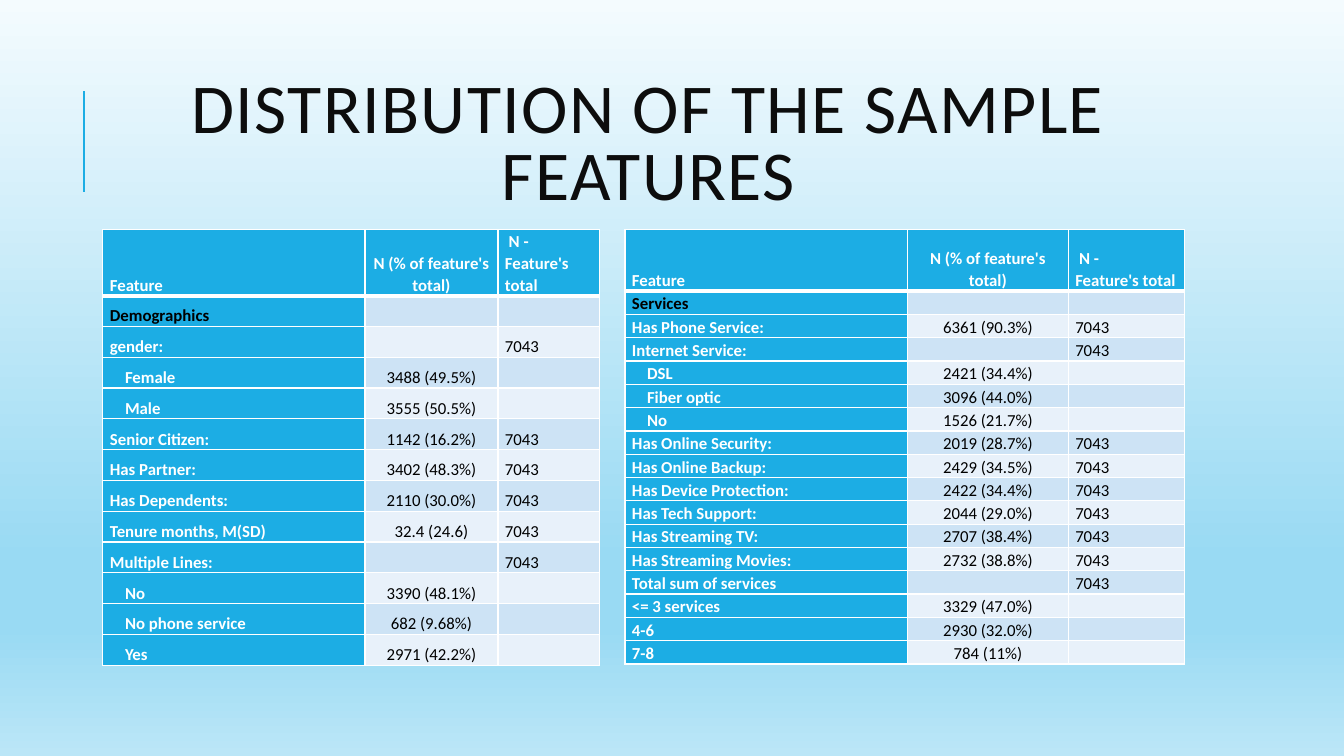
"""Build the slide showing how the sample features are distributed."""
from pptx import Presentation
from pptx.dml.color import RGBColor
from pptx.enum.shapes import MSO_CONNECTOR
from pptx.enum.text import MSO_ANCHOR, MSO_AUTO_SIZE, PP_ALIGN
from pptx.oxml import parse_xml
from pptx.oxml.ns import nsdecls
from pptx.util import Pt

LINE = MSO_CONNECTOR.STRAIGHT
MIDDLE, BOTTOM = MSO_ANCHOR.MIDDLE, MSO_ANCHOR.BOTTOM
LEFT, CENTER = PP_ALIGN.LEFT, PP_ALIGN.CENTER
FIXED = MSO_AUTO_SIZE.NONE
FONT = "Calibri"
HEX = {
    "blue": "1CADE4", "dark": "CDE3F5", "pale": "E8F1FA",
    "white": "FFFFFF", "black": "000000", "title": "0D0D0D",
}
SKY = [(0, "F4FBFE"), (74, "99DAF3"), (83, "99DAF3"), (100, "BBE6F7")]
HEAD = ("Feature", "N (% of feature's total)", " N -\nFeature's total")
SUBS = {"Female", "Male", "No", "No phone service", "Yes", "DSL", "Fiber optic"}

PEOPLE = [
    HEAD,
    ("Demographics", "", ""),
    ("gender:", "", "7043"),
    ("Female", "3488 (49.5%)", ""),
    ("Male", "3555 (50.5%)", ""),
    ("Senior Citizen:", "1142 (16.2%)", "7043"),
    ("Has Partner:", "3402 (48.3%)", "7043"),
    ("Has Dependents:", "2110 (30.0%)", "7043"),
    ("Tenure months, M(SD)", "32.4 (24.6)", "7043"),
    ("Multiple Lines:", "", "7043"),
    ("No", "3390 (48.1%)", ""),
    ("No phone service", "682 (9.68%)", ""),
    ("Yes", "2971 (42.2%)", ""),
]
SERVICES = [
    HEAD,
    ("Services", "", ""),
    ("Has Phone Service:", "6361 (90.3%)", "7043"),
    ("Internet Service:", "", "7043"),
    ("DSL", "2421 (34.4%)", ""),
    ("Fiber optic", "3096 (44.0%)", ""),
    ("No", "1526 (21.7%)", ""),
    ("Has Online Security:", "2019 (28.7%)", "7043"),
    ("Has Online Backup:", "2429 (34.5%)", "7043"),
    ("Has Device Protection:", "2422 (34.4%)", "7043"),
    ("Has Tech Support:", "2044 (29.0%)", "7043"),
    ("Has Streaming TV:", "2707 (38.4%)", "7043"),
    ("Has Streaming Movies:", "2732 (38.8%)", "7043"),
    ("Total sum of services", "", "7043"),
    ("<= 3 services", "3329 (47.0%)", ""),
    ("4-6", "2930 (32.0%)", ""),
    ("7-8", "784 (11%)", ""),
]
TABLES = [
    (PEOPLE, 73.5, (187.2, 95, 72.7), 46.5, 22),
    (SERVICES, 446.4, (201.9, 114.8, 83), 43.8, 16.65),
]


def shade(name):
    return RGBColor.from_string(HEX[name])


def style(cell, text, row, col):
    props = cell._tc.get_or_add_tcPr()
    for side in "LRTB":
        thick = (row, side) in ((0, "B"), (1, "T"))
        props.append(parse_xml(
            f'<a:ln{side} {nsdecls("a")} w="{Pt(3 if thick else 1)}"><a:solidFill>'
            f'<a:srgbClr val="{HEX["white"]}"/></a:solidFill></a:ln{side}>'))
    strong = row == 0 or col == 0
    cell.fill.solid()
    cell.fill.fore_color.rgb = shade(
        "blue" if strong else "dark" if row % 2 else "pale")
    cell.margin_left = Pt(15.8 if col == 0 and text in SUBS else 5)
    cell.margin_right = Pt(5)
    cell.margin_top = cell.margin_bottom = 0
    cell.vertical_anchor = BOTTOM
    cell.text = text
    for para in cell.text_frame.paragraphs:
        para.alignment = CENTER if col == 1 else LEFT
        para.line_spacing = 1.07
        para.font.name, para.font.size, para.font.bold = FONT, Pt(12), strong
        for run in para.runs:
            run.font.color.rgb = shade("white" if strong and row != 1 else "black")
        if not text:
            para._p.get_or_add_endParaRPr().set("sz", "1200")


deck = Presentation()
deck.slide_width, deck.slide_height = Pt(960), Pt(540)
slide = deck.slides.add_slide(deck.slide_layouts[5])

stops = "".join(
    f'<a:gs pos="{pos * 1000}"><a:srgbClr val="{tone}"/></a:gs>' for pos, tone in SKY)
slide._element.cSld.insert(0, parse_xml(
    f'<p:bg {nsdecls("p", "a")}><p:bgPr><a:gradFill rotWithShape="1"><a:gsLst>{stops}'
    '</a:gsLst><a:lin ang="5400000" scaled="0"/></a:gradFill><a:effectLst/>'
    '</p:bgPr></p:bg>'))

rule = slide.shapes.add_connector(LINE, Pt(60), Pt(136.8), Pt(60), Pt(64.8))
rule.line.color.rgb = shade("blue")
rule.line.width = Pt(1.5)
rule._element.spPr.append(parse_xml(f'<a:effectLst {nsdecls("a")}/>'))

title = slide.shapes.title
title.left, title.top, title.width, title.height = Pt(80.6), Pt(46), Pt(765.4), Pt(118)
frame = title.text_frame
frame.text = "DISTRIBUTION OF THE SAMPLE FEATURES"
frame.word_wrap, frame.auto_size = True, FIXED
frame.vertical_anchor = MIDDLE
para = frame.paragraphs[0]
para.alignment, para.line_spacing = CENTER, 0.8
para.font.name, para.font.size = FONT, Pt(50)
para.font.color.rgb = shade("title")
para.font._rPr.set("spc", "100")

for rows, left, widths, head, step in TABLES:
    high = head + step * (len(rows) - 1)
    grid = slide.shapes.add_table(
        len(rows), len(HEAD), Pt(left), Pt(164.2), Pt(sum(widths)), Pt(high)).table
    grid.first_col = True
    for col, wide in enumerate(widths):
        grid.columns[col].width = Pt(wide)
    for row, texts in enumerate(rows):
        grid.rows[row].height = Pt(step if row else head)
        for col, text in enumerate(texts):
            style(grid.cell(row, col), text, row, col)

deck.save("out.pptx")
